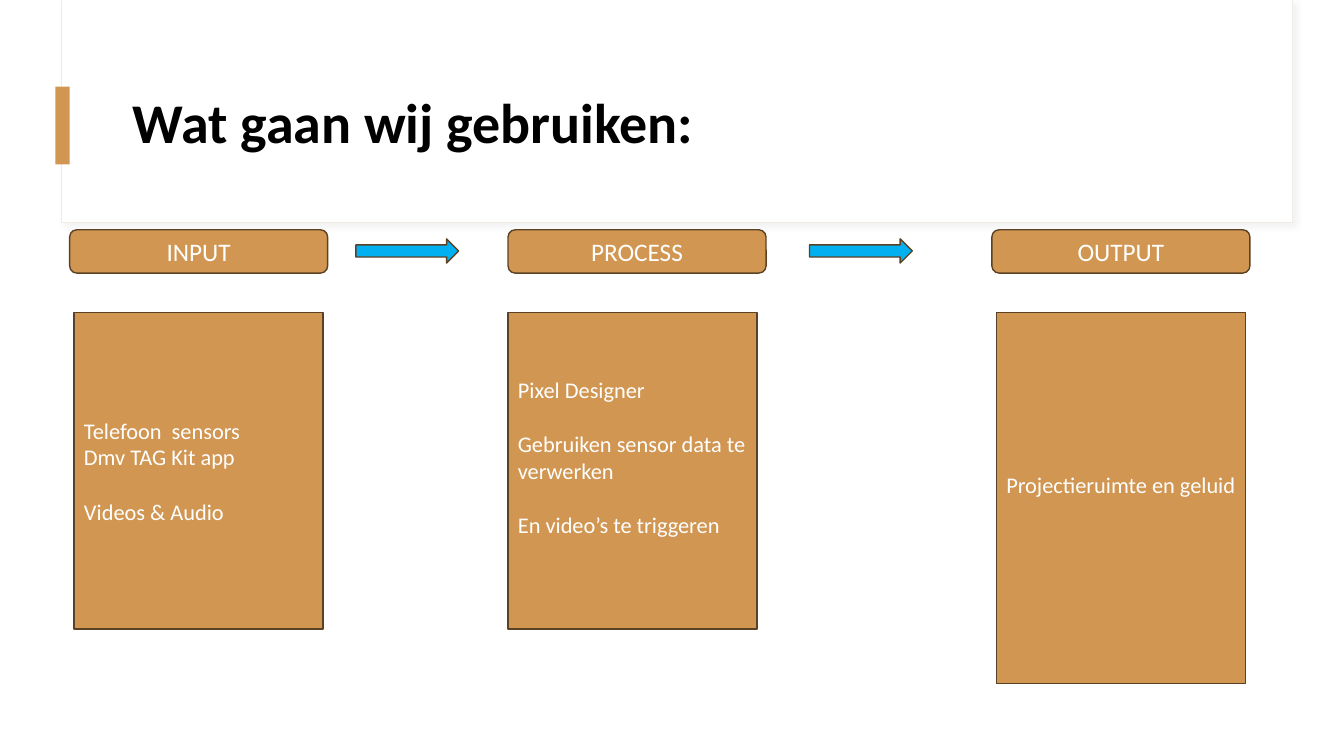
from lxml import etree
from pptx import Presentation
from pptx.dml.color import RGBColor
from pptx.enum.shapes import MSO_SHAPE
from pptx.enum.text import MSO_ANCHOR, PP_ALIGN
from pptx.oxml.ns import qn
from pptx.util import Inches, Pt

RECT, ROUND, ARROW = MSO_SHAPE.RECTANGLE, MSO_SHAPE.ROUNDED_RECTANGLE, MSO_SHAPE.RIGHT_ARROW
LEFT, CENTER, MIDDLE = PP_ALIGN.LEFT, PP_ALIGN.CENTER, MSO_ANCHOR.MIDDLE

THEME = {
    "font": "Calibri", "title": 40, "tag": 18, "body": 16,
    "white": "FFFFFF", "black": "000000", "tan": "D19651", "brown": "5C4224",
    "blue": "00B0F0", "edge": "F0EBE5", "shade": "D9D9D9",
}
GAP = Pt(19.5)  # one line of body text

deck = Presentation()
deck.slide_width, deck.slide_height = Inches(13.33), Inches(7.5)
slide = deck.slides.add_slide(deck.slide_layouts[6])
COL, ROW = deck.slide_width / 100, deck.slide_height / 100


def block(kind, x, y, w, h, fill, line=None, width=1):
    """Place a shape on a grid of 100 columns by 100 rows."""
    shape = slide.shapes.add_shape(kind, *(int(v) for v in (x * COL, y * ROW, w * COL, h * ROW)))
    shape.shadow.inherit = False
    shape.fill.solid()
    shape.fill.fore_color.rgb = RGBColor.from_string(THEME[fill])
    if line:
        shape.line.color.rgb = RGBColor.from_string(THEME[line])
        shape.line.width = Pt(width)
    else:
        shape.line.fill.background()
    return shape


def write(shape, lines, size, color="white", align=LEFT, bold=False, tail=0):
    """Fill a shape with (text, space before) lines."""
    frame = shape.text_frame
    form = {"word_wrap": True, "vertical_anchor": MIDDLE, "margin_bottom": Inches(0.05) + tail}
    for key, value in form.items():
        setattr(frame, key, value)
    for i, (text, gap) in enumerate(lines):
        para = frame.add_paragraph() if i else frame.paragraphs[0]
        para.text, para.alignment = text, align
        if gap:
            para.space_before = gap
        form = {"name": THEME["font"], "size": Pt(THEME[size]), "bold": bold}
        for key, value in form.items():
            setattr(para.font, key, value)
        para.font.color.rgb = RGBColor.from_string(THEME[color])
    return frame


# Header panel with a soft shadow
panel = block(RECT, 4.58, 0, 91.58, 29.47, "white", "edge", 0.75)
effect = panel._element.spPr.find(qn("a:effectLst"))
form = {"blurRad": Pt(4), "dist": Pt(3), "dir": 45 * 60000, "algn": "tl", "rotWithShape": 0}
shade = etree.SubElement(effect, qn("a:outerShdw"), {k: str(v) for k, v in form.items()})
tint = etree.SubElement(shade, qn("a:srgbClr"), val=THEME["shade"])
etree.SubElement(tint, qn("a:alpha"), val="30000")
block(RECT, 4.65, 0, 91.5, 29.33, "white")
block(RECT, 4.13, 11.47, 1.05, 10.27, "tan")

# Title
title = slide.shapes.add_textbox(*(int(v) for v in (9.15 * COL, 8 * ROW, 83.4 * COL, 17.2 * ROW)))
head = write(title, [("Wat gaan wij gebruiken:", 0)], "title", "black", bold=True)
head.paragraphs[0].line_spacing = 0.9

# Stages: left, label, box shift, box height, room below the text, lines
TAG, BOX = 19.2, 18.53
INSET = (TAG - BOX) / 2
stages = [
    (5.18, "INPUT", INSET, 41.87, 0,
     [("Telefoon  sensors", 0), ("Dmv TAG Kit app", 0), ("Videos & Audio", GAP)]),
    (37.8, "PROCESS", 0, 41.87, GAP,
     [("Pixel Designer", 0), ("Gebruiken sensor data te verwerken", GAP),
      ("En video’s te triggeren", GAP)]),
    (73.8, "OUTPUT", INSET, 49.07, GAP, [("Projectieruimte en geluid", 0)]),
]
for x, label, shift, tall, tail, lines in stages:
    tag = block(ROUND, x, 30.4, TAG, 5.73, "tan", "brown")
    write(tag, [(label, 0)], "tag", align=CENTER)
    box = block(RECT, x + shift, 41.33, BOX, tall, "tan", "brown")
    write(box, lines, "body", tail=tail)

# Arrows between the stages
for x in (26.48, 60.23):
    block(ARROW, x, 31.6, 7.65, 3.2, "blue", "brown")

deck.save("out.pptx")
